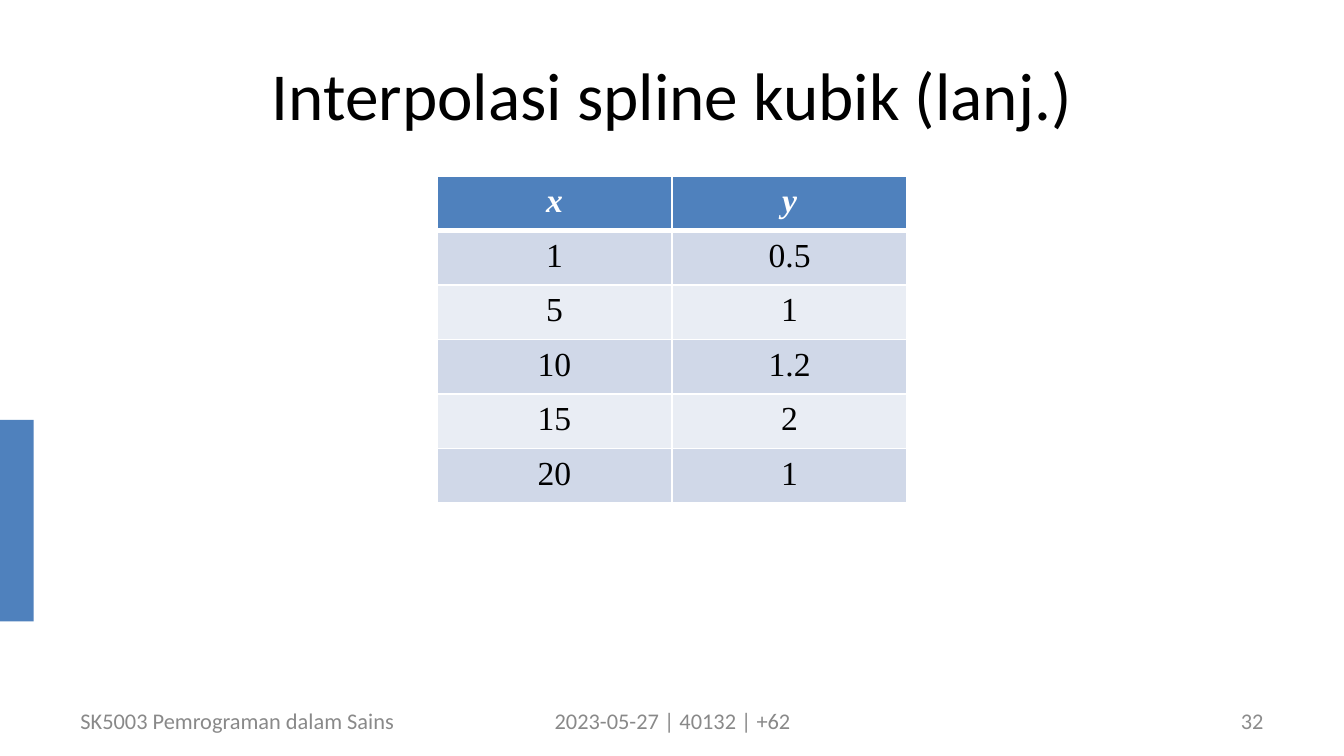
from lxml import etree
from pptx import Presentation
from pptx.dml.color import RGBColor
from pptx.enum import shapes, text
from pptx.oxml import ns
from pptx.util import Inches, Pt

TITLE = "Interpolasi spline kubik (lanj.)"
HEAD = ("x", "y")
POINTS = [("1", "0.5"), ("5", "1"), ("10", "1.2"), ("15", "2"), ("20", "1")]
ALIGN = text.PP_ALIGN
# text, left, width, alignment, colour
FOOTER = [
    ("SK5003 Pemrograman dalam Sains", 0.5, 2.58, ALIGN.LEFT, "muted"),
    ("2023-05-27 | 40132 | +62", 3.42, 3.17, ALIGN.CENTER, "muted"),
    ("32", 7.17, 2.33, ALIGN.RIGHT, "number"),
]
THEME = {
    "accent": "4F81BD", "bands": ("D0D8E8", "E9EDF4"), "ink": "000000",
    "paper": "FFFFFF", "muted": "898989", "number": "8C8C8C",
    "sans": "Calibri", "serif": "Times New Roman",
    "title": 36, "body": 18, "small": 12,
}
WIDE = 10
HIGH = WIDE * 9 / 16


def box(*sides):
    return [Inches(side) for side in sides]


def paint(fill, color):
    fill.solid()
    fill.fore_color.rgb = RGBColor.from_string(color)


def write(frame, words, face, size, color, align, bold=False):
    frame.text = words
    para = frame.paragraphs[0]
    para.alignment = align
    font = para.font
    font.name, font.size = face, Pt(size)
    font.bold = font.italic = bold
    font.color.rgb = RGBColor.from_string(color)


def rule(cell, side, width):
    """Draw one cell border; side is L, R, T or B."""
    props = cell._tc.get_or_add_tcPr()
    line = etree.SubElement(props, ns.qn("a:ln" + side), w=str(Pt(width)))
    solid = etree.SubElement(line, ns.qn("a:solidFill"))
    etree.SubElement(solid, ns.qn("a:srgbClr"), val=THEME["paper"])


def add_points(slide):
    rows = [HEAD] + POINTS
    width, tall = 3.5, Pt(29.2)
    left, top, width = box((WIDE - width) / 2, 1.31, width)
    grid = slide.shapes.add_table(
        len(rows), len(HEAD), left, top, width, tall * len(rows)).table
    for r, row in enumerate(rows):
        first = r == 0
        for c, value in enumerate(row):
            cell = grid.cell(r, c)
            for side in "LRTB":
                thick = (first and side == "B") or (r == 1 and side == "T")
                rule(cell, side, 3 if thick else 1)
            paint(cell.fill, THEME["accent"] if first else THEME["bands"][(r - 1) % 2])
            write(cell.text_frame, value, THEME["serif"], THEME["body"],
                  THEME["paper" if first else "ink"], ALIGN.CENTER, first)


def main():
    deck = Presentation()
    deck.slide_width, deck.slide_height = box(WIDE, HIGH)
    slide = deck.slides.add_slide(deck.slide_layouts[5])

    bar = slide.shapes.add_shape(
        shapes.MSO_SHAPE.RECTANGLE, *box(0, HIGH - 2.5, 0.25, 1.5))
    bar.shadow.inherit = False
    paint(bar.fill, THEME["accent"])
    bar.line.fill.background()

    title = slide.shapes.title
    title.left, title.top, title.width, title.height = box(0.5, 0.23, 9, 0.94)
    title.text_frame.vertical_anchor = text.MSO_ANCHOR.MIDDLE
    write(title.text_frame, TITLE, THEME["sans"], THEME["title"], THEME["ink"], ALIGN.CENTER)

    add_points(slide)

    for words, left, width, align, color in FOOTER:
        frame = slide.shapes.add_textbox(*box(left, HIGH - 0.41, width, 0.3)).text_frame
        frame.word_wrap = True
        frame.vertical_anchor = text.MSO_ANCHOR.MIDDLE
        write(frame, words, THEME["sans"], THEME["small"], THEME[color], align)

    deck.save("out.pptx")


if __name__ == "__main__":
    main()
